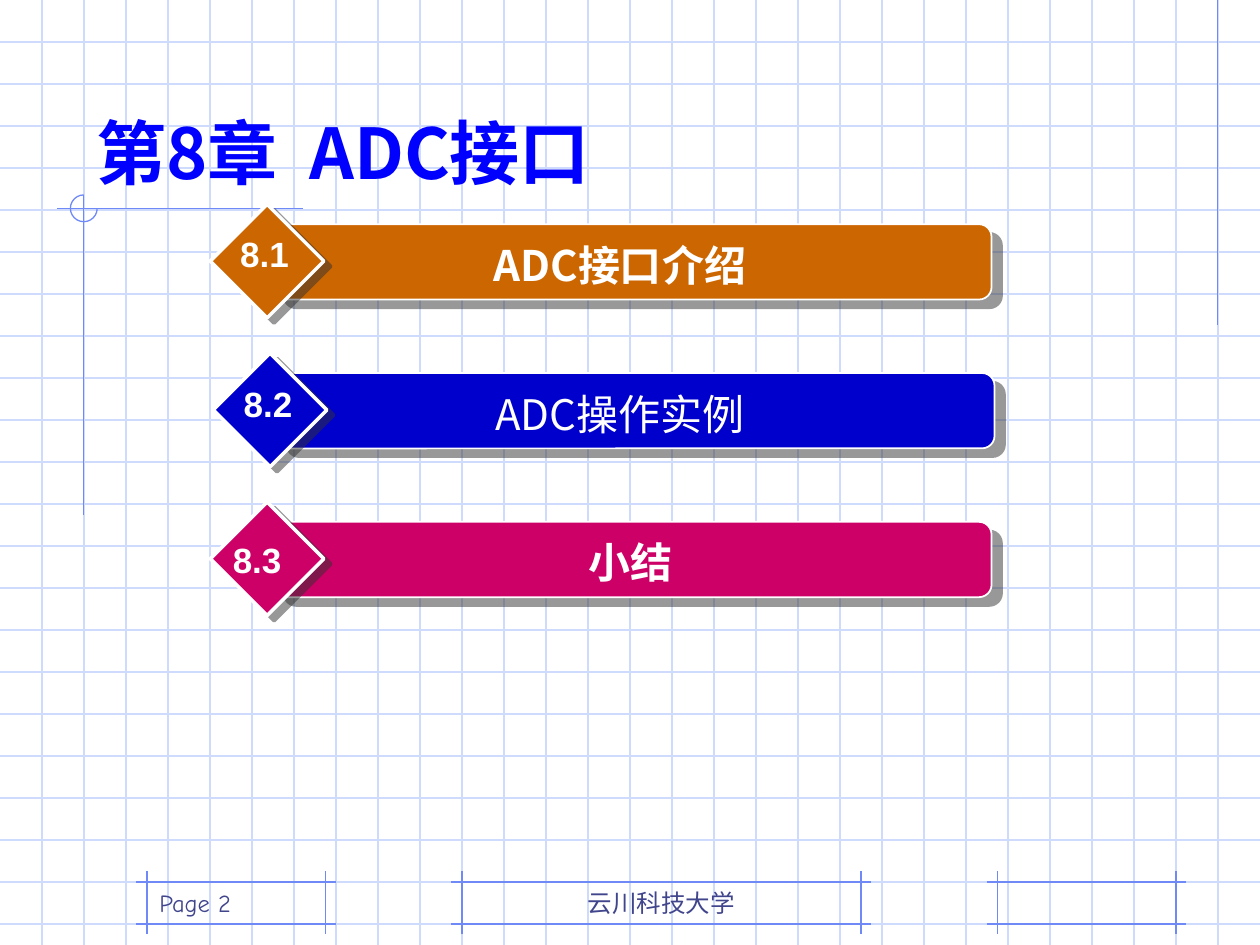
from lxml import etree
from pptx import Presentation
from pptx.dml.color import RGBColor
from pptx.enum.shapes import MSO_CONNECTOR, MSO_SHAPE
from pptx.enum.text import MSO_ANCHOR, MSO_AUTO_SIZE, PP_ALIGN
from pptx.oxml.ns import qn
from pptx.util import Cm, Pt

STRAIGHT = MSO_CONNECTOR.STRAIGHT
ROUNDED, DIAMOND, RECTANGLE, ARC = (
    MSO_SHAPE.ROUNDED_RECTANGLE, MSO_SHAPE.DIAMOND, MSO_SHAPE.RECTANGLE, MSO_SHAPE.ARC)
TOP, BOTTOM = MSO_ANCHOR.TOP, MSO_ANCHOR.BOTTOM
LEFT, CENTER = PP_ALIGN.LEFT, PP_ALIGN.CENTER
NO_AUTOFIT = MSO_AUTO_SIZE.NONE

WHITE = RGBColor(0xFF, 0xFF, 0xFF)
GRID_BLUE = RGBColor(0xCF, 0xDB, 0xFD)
FRAME_BLUE = RGBColor(0x6F, 0x89, 0xF7)
FOOTER_INK = RGBColor(0x40, 0x45, 0x8C)
TITLE_BLUE = RGBColor(0x00, 0x00, 0xFF)
ORANGE = RGBColor(0xCC, 0x66, 0x00)
NAVY = RGBColor(0x00, 0x00, 0xCC)
MAGENTA = RGBColor(0xCC, 0x00, 0x66)
SHADOW = RGBColor(0x33, 0x33, 0x33)

CJK = "Noto Sans CJK JP"
WIDTH, HEIGHT = 25.4, 19.05
CELL = WIDTH / 30
TITLE_STYLE = {"name": CJK, "size": Pt(40), "bold": True}
TOPIC_STYLE = {"name": CJK, "size": Pt(24), "bold": True}
NUMBER_STYLE = {"name": "Arial", "size": Pt(20), "bold": True}
FOOTER_STYLE = {"name": "Comic Neue", "size": Pt(14), "bold": False}


class ChapterPage:
    def __init__(self, deck):
        self.page = deck.slides.add_slide(deck.slide_layouts[5])

    def line(self, x1, y1, x2, y2, color):
        rule = self.page.shapes.add_connector(STRAIGHT, Cm(x1), Cm(y1), Cm(x2), Cm(y2))
        rule.line.color.rgb = color
        rule.line.width = Pt(0.75)
        etree.SubElement(rule.element.spPr, qn("a:effectLst"))

    def shape(self, kind, place, fill=None, outline=None, weight=1):
        shape = self.page.shapes.add_shape(kind, *map(Cm, place))
        shape.shadow.inherit = False
        if fill is None:
            shape.fill.background()
        else:
            shape.fill.solid()
            shape.fill.fore_color.rgb = fill
        if outline is None:
            shape.line.fill.background()
        else:
            shape.line.color.rgb = outline
            shape.line.width = Pt(weight)
        return shape

    def drop_shadow(self, shape, distance, angle):
        effects = shape.element.spPr.find(qn("a:effectLst"))
        shadow = etree.SubElement(effects, qn("a:outerShdw"), {
            "dist": str(Pt(distance)), "dir": str(angle * 60000),
            "algn": "ctr", "rotWithShape": "0"})
        color = etree.SubElement(shadow, qn("a:srgbClr"), val=str(SHADOW))
        etree.SubElement(color, qn("a:alpha"), val="50000")

    def span(self, para, text, style, color):
        span = para.add_run()
        span.text = text
        for name, value in style.items():
            setattr(span.font, name, value)
        span.font.color.rgb = color
        properties = span.font._element
        etree.SubElement(properties, qn("a:ea"), typeface=style["name"])
        return properties

    def set_text(self, box, text, style, color, align=CENTER, anchor=TOP, wrap=True):
        frame = box.text_frame
        settings = {"word_wrap": wrap, "vertical_anchor": anchor, "auto_size": NO_AUTOFIT}
        for name, value in settings.items():
            setattr(frame, name, value)
        para = frame.paragraphs[0]
        para.alignment = align
        self.span(para, text, style, color)
        return para

    def text(self, place, text, style, color, **layout):
        box = self.page.shapes.add_textbox(*map(Cm, place))
        self.set_text(box, text, style, color, **layout)

    def title(self, place, chapter, subject):
        box = self.page.shapes.title
        box.left, box.top, box.width, box.height = map(Cm, place)
        box.element.getparent().append(box.element)
        para = self.set_text(box, chapter, TITLE_STYLE, TITLE_BLUE, align=LEFT, anchor=BOTTOM)
        gap = self.span(para, " ", TITLE_STYLE, TITLE_BLUE)
        gap.set("spc", "900")
        self.span(para, subject, TITLE_STYLE, TITLE_BLUE)

    def grid(self):
        for row in range(1, 23):
            self.line(0, row * CELL, WIDTH, row * CELL, GRID_BLUE)
        for column in range(1, 30):
            self.line(column * CELL, 0, column * CELL, HEIGHT, GRID_BLUE)

    def footer_frame(self, first, last):
        top, bottom, overhang = 21, 22, 0.25
        for row in (top, bottom):
            self.line((first - overhang) * CELL, row * CELL,
                      (last + overhang) * CELL, row * CELL, FRAME_BLUE)
        for column in (first, last):
            self.line(column * CELL, (top - overhang) * CELL,
                      column * CELL, (bottom + overhang) * CELL, FRAME_BLUE)

    def corner_mark(self):
        self.line(24.55, 0, 24.55, 6.56, FRAME_BLUE)
        self.line(6.1, 4.21, 1.14, 4.21, FRAME_BLUE)
        self.line(1.69, 3.93, 1.69, 10.39, FRAME_BLUE)
        arc = self.shape(ARC, (1.42, 3.93, 0.54, 0.54), outline=FRAME_BLUE, weight=0.75)
        arc.adjustments[0] = 0
        arc.adjustments[1] = 162

    def topic(self, left, top, color, number, number_at, name, name_left, bold):
        bar = self.shape(ROUNDED, (left, top, 14.48, 1.52), color, WHITE)
        self.drop_shadow(bar, 7.8, 40)
        badge = self.shape(DIAMOND, (left - 1.27, top - 0.4, 2.29, 2.29), color, WHITE, 2)
        self.drop_shadow(badge, 5, 37)
        label = self.shape(RECTANGLE, (name_left, top + 0.18, 11.43, 1.27), color)
        self.set_text(label, name, {**TOPIC_STYLE, "bold": bold}, WHITE)
        self.text((*number_at, 1.47, 1.12), number, NUMBER_STYLE, WHITE, wrap=False)


def main():
    deck = Presentation()
    deck.slide_width, deck.slide_height = Cm(WIDTH), Cm(HEIGHT)
    chapter = ChapterPage(deck)
    chapter.grid()
    for first, last in ((11, 20.5), (23.75, 28), (3.5, 7.75)):
        chapter.footer_frame(first, last)
    chapter.corner_mark()
    footer_top = 21 * CELL
    chapter.text((11 * CELL, footer_top, 9.5 * CELL, CELL), "云川科技大学",
                 FOOTER_STYLE, FOOTER_INK, anchor=BOTTOM)
    chapter.text((3.5 * CELL, footer_top, 4.25 * CELL, CELL), "Page 2",
                 FOOTER_STYLE, FOOTER_INK, align=LEFT, anchor=BOTTOM)
    chapter.title((1.69, 0.85, 21.59, 3.18), "第8章", "ADC接口")
    topics = (
        (5.51, ORANGE, "8.1", (4.6, 4.57), "ADC接口介绍", 6.78, True),
        (5.57, NAVY, "8.2", (4.67, 7.59), "ADC操作实例", 6.78, False),
        (5.51, MAGENTA, "8.3", (4.45, 10.74), "小结", 6.99, True),
    )
    for index, (left, *details) in enumerate(topics):
        chapter.topic(left, 4.52 + 3 * index, *details)
    deck.save("out.pptx")


if __name__ == "__main__":
    main()
